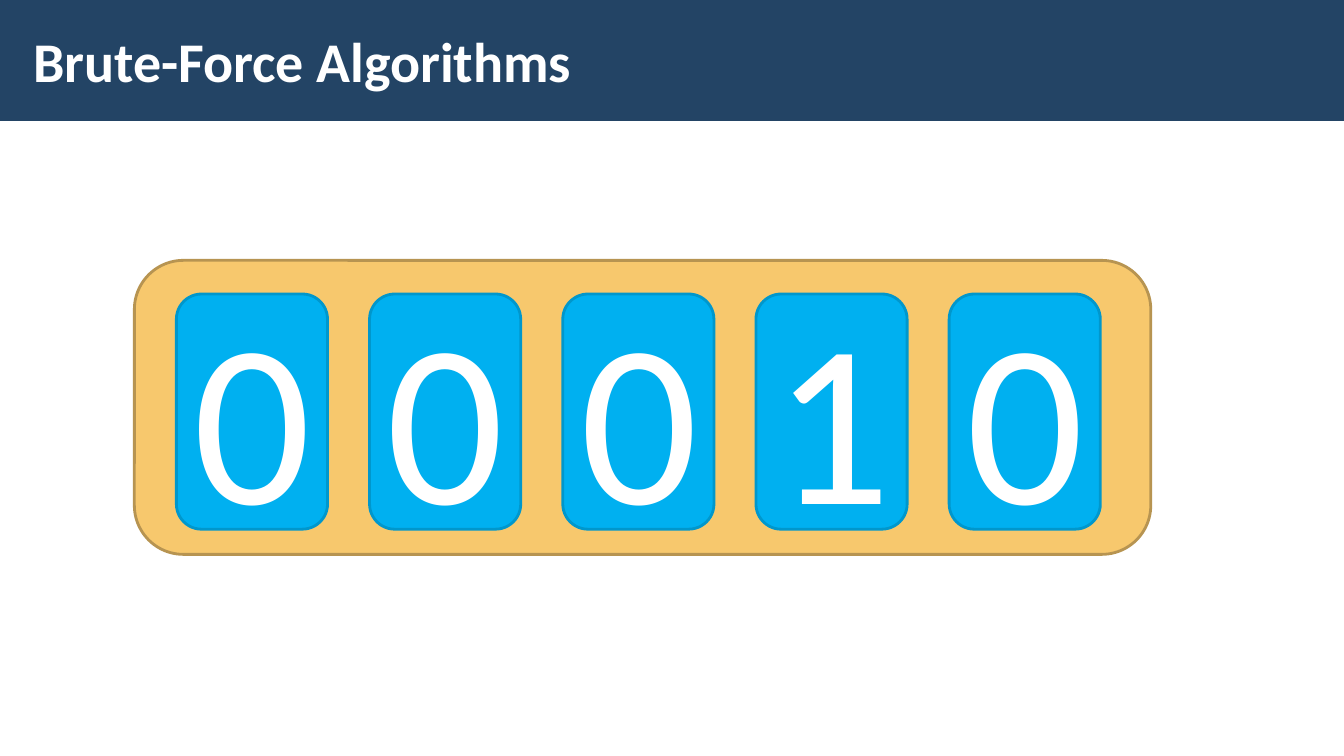
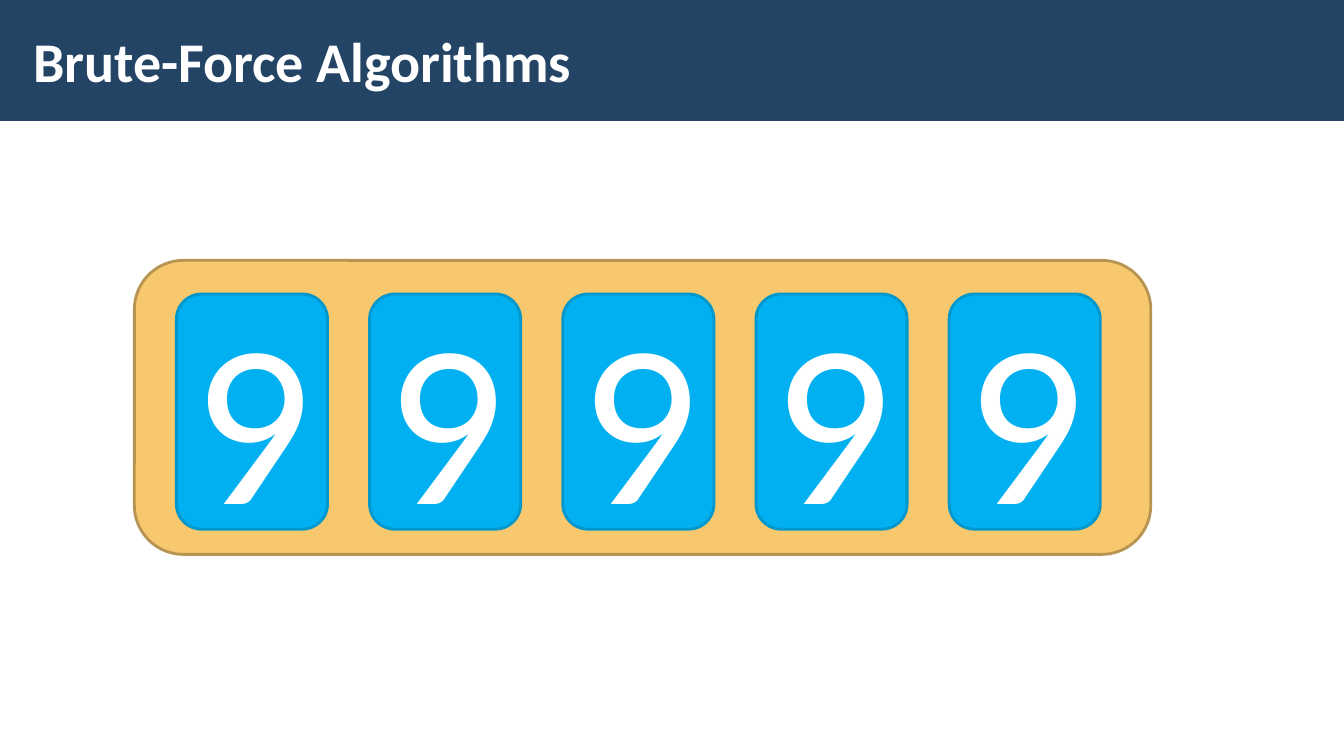
from dataclasses import dataclass

from pptx import Presentation
from pptx.dml.color import RGBColor
from pptx.enum.shapes import MSO_SHAPE as Preset
from pptx.enum.text import MSO_ANCHOR as Anchor, MSO_AUTO_SIZE as AutoSize, PP_ALIGN as Align
from pptx.presentation import Presentation as Deck
from pptx.shapes.autoshape import Shape
from pptx.slide import Slide, SlideLayout
from pptx.text.text import TextFrame
from pptx.util import Inches, Pt

COLUMNS, ROWS = 160, 90
CELL = Inches(1) / 12


@dataclass(frozen=True)
class Theme:
    font: str = "Calibri"
    band: str = "234465"
    frame: str = "F7C86D"
    frame_line: str = "B79451"
    dial: str = "00B0F0"
    dial_line: str = "0097CC"
    text: str = "FFFFFF"
    title_size: int = 40
    digit_size: int = 166
    line_width: int = 2


@dataclass(frozen=True)
class Box:
    column: float
    row: float
    columns: float
    rows: float

    def shifted(self, columns: float) -> "Box":
        return Box(self.column + columns, self.row, self.columns, self.rows)

    def place(self) -> tuple[int, int, int, int]:
        left, top, width, height = (
            round(cells * CELL) for cells in (self.column, self.row, self.columns, self.rows)
        )
        return left, top, width, height


@dataclass(frozen=True)
class LockPage:
    title: str
    digits: str


THEME = Theme()
BAND = Box(0, 0, COLUMNS, 14.4)
TITLE = Box(2.5, 1.3, 124.7, 11.6)
FRAME = Box(16, 31, 121, 35)
FIRST_DIAL = Box(21, 35, 18, 28)
DIAL_PITCH = 23
TOPIC = "Brute-Force Algorithms"
PAGES = [LockPage(TOPIC, "00010"), LockPage(TOPIC, "99999")]


def add_box(page: Slide, preset: Preset, box: Box, fill: str, line: str | None = None) -> Shape:
    shape = page.shapes.add_shape(preset, *box.place())
    shape.shadow.inherit = False
    shape.fill.solid()
    shape.fill.fore_color.rgb = RGBColor.from_string(fill)
    if line is None:
        shape.line.fill.background()
    else:
        shape.line.color.rgb = RGBColor.from_string(line)
        shape.line.width = Pt(THEME.line_width)
    return shape


def write(frame: TextFrame, text: str, size: int, align: Align, bold: bool = False) -> None:
    frame.text = text
    frame.word_wrap = True
    frame.auto_size = AutoSize.NONE
    frame.vertical_anchor = Anchor.MIDDLE
    for para in frame.paragraphs:
        para.alignment = align
        for span in para.runs:
            span.font.name = THEME.font
            span.font.size = Pt(size)
            span.font.bold = bold
            span.font.color.rgb = RGBColor.from_string(THEME.text)


def move_band_to_layout(page: Slide, layout: SlideLayout) -> None:
    band = add_box(page, Preset.RECTANGLE, BAND, THEME.band)
    layout.element.cSld.spTree.insert(2, band.element)


def set_title(page: Slide, text: str) -> None:
    title = page.shapes.title
    title.left, title.top, title.width, title.height = TITLE.place()
    frame = title.text_frame
    frame.margin_left = frame.margin_right = Inches(0.12)
    frame.margin_top = frame.margin_bottom = Inches(0.04)
    write(frame, text, THEME.title_size, Align.LEFT, bold=True)


def add_lock(page: Slide, digits: str) -> None:
    add_box(page, Preset.ROUNDED_RECTANGLE, FRAME, THEME.frame, THEME.frame_line)
    for index, digit in enumerate(digits):
        box = FIRST_DIAL.shifted(index * DIAL_PITCH)
        dial = add_box(page, Preset.ROUNDED_RECTANGLE, box, THEME.dial, THEME.dial_line)
        write(dial.text_frame, digit, THEME.digit_size, Align.CENTER)


def build() -> Deck:
    deck = Presentation()
    deck.slide_width, deck.slide_height = round(COLUMNS * CELL), round(ROWS * CELL)
    layout = deck.slide_layouts.get_by_name("Title Only")
    for content in PAGES:
        page = deck.slides.add_slide(layout)
        set_title(page, content.title)
        add_lock(page, content.digits)
    move_band_to_layout(deck.slides[0], layout)
    return deck


if __name__ == "__main__":
    build().save("out.pptx")
